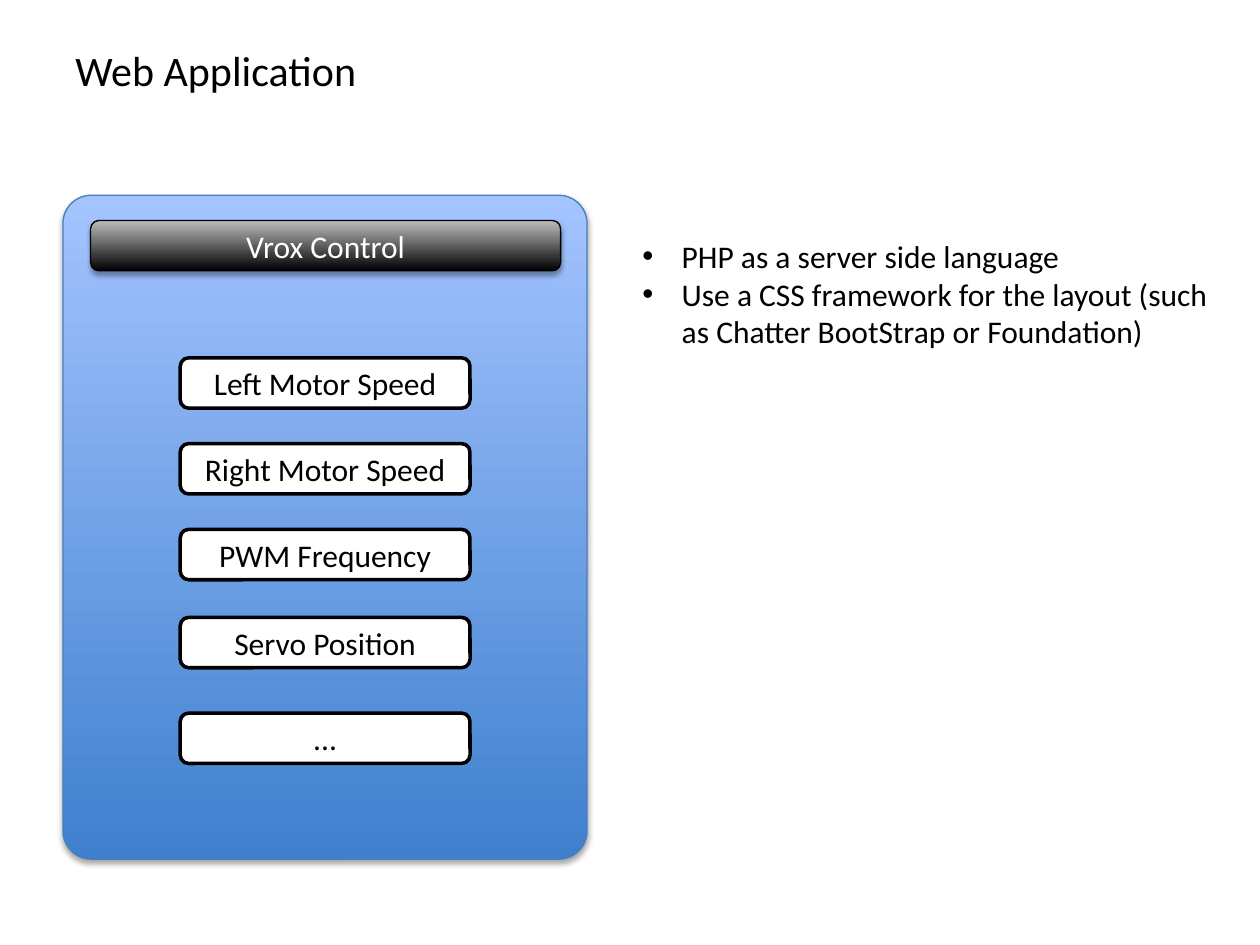
from lxml import etree
from pptx import Presentation
from pptx.dml.color import RGBColor
from pptx.enum.shapes import MSO_SHAPE
from pptx.enum.text import MSO_ANCHOR, PP_ALIGN
from pptx.oxml import parse_xml
from pptx.oxml.ns import nsdecls, qn
from pptx.util import Pt

ROUND = MSO_SHAPE.ROUNDED_RECTANGLE
MIDDLE, CENTER = MSO_ANCHOR.MIDDLE, PP_ALIGN.CENTER
FONT = "Calibri"
COLORS = {
    "black": "000000",
    "white": "FFFFFF",
    "gray": "BDBDBD",
    "panel_bottom": "3F80CE",
    "panel_top": "A4C4FF",
    "panel_line": "4B7EBC",
}
SHADOW = (
    f'<a:outerShdw {nsdecls("a")} blurRad="{Pt(3.1)}" dist="{Pt(1.8)}" '
    'dir="5400000" rotWithShape="0"><a:srgbClr val="000000">'
    '<a:alpha val="35000"/></a:srgbClr></a:outerShdw>'
)


def add_box(left, top, width, height, fills, line, line_width):
    """Add a rounded box: one fill is solid, two (bottom, top) a shaded gradient."""
    sp = s.shapes.add_shape(ROUND, Pt(left), Pt(top), Pt(width), Pt(height))
    sp.shadow.inherit = False
    if len(fills) == 1:
        sp.fill.solid()
        sp.fill.fore_color.rgb = RGBColor.from_string(COLORS[fills[0]])
    else:
        sp.fill.gradient()
        sp.fill.gradient_angle = 90
        for stop, name in zip(sp.fill.gradient_stops, fills):
            stop.color.rgb = RGBColor.from_string(COLORS[name])
        sp._element.spPr.find(qn("a:effectLst")).append(parse_xml(SHADOW))
    sp.line.color.rgb = RGBColor.from_string(COLORS[line])
    sp.line.width = Pt(line_width)
    return sp


def set_text(sp, text, size, color="black"):
    tf = sp.text_frame
    tf.word_wrap = True
    tf.text = text
    for p in tf.paragraphs:
        for r in p.runs:
            r.font.name = FONT
            r.font.size = Pt(size)
            r.font.color.rgb = RGBColor.from_string(COLORS[color])
    return tf


prs = Presentation()
prs.slide_width, prs.slide_height = Pt(720), Pt(540)
s = prs.slides.add_slide(prs.slide_layouts[6])

title = s.shapes.add_textbox(Pt(36), Pt(21.6), Pt(648), Pt(90))
set_text(title, "Web Application", 24)

panel = add_box(36, 111.6, 299.5, 379.4, ["panel_bottom", "panel_top"], "panel_line", 0.75)
panel.adjustments[0] = 0.054

header = add_box(51.8, 126, 268.6, 28.8, ["black", "gray"], "black", 0.75)
labels = [(header, "Vrox Control", "white")]

fields = [
    ("Left Motor Speed", 204.5),
    ("Right Motor Speed", 253.5),
    ("PWM Frequency", 302.5),
    ("Servo Position", 352.8),
    ("...", 407.5),
]
for text, top in fields:
    field = add_box(103, top, 165.6, 28.8, ["white"], "black", 2)
    labels.append((field, text, "black"))

for sp, text, color in labels:
    tf = set_text(sp, text, 18, color)
    tf.vertical_anchor = MIDDLE
    tf.paragraphs[0].alignment = CENTER

notes = s.shapes.add_textbox(Pt(360), Pt(131.8), Pt(343.4), Pt(72.7))
tf = set_text(
    notes,
    "PHP as a server side language\n"
    "Use a CSS framework for the layout (such as Chatter BootStrap or Foundation)",
    18,
)
for p in tf.paragraphs:
    pPr = p._p.get_or_add_pPr()
    pPr.set("marL", str(Pt(22.5)))
    pPr.set("indent", str(-Pt(22.5)))
    etree.SubElement(pPr, qn("a:buFont")).set("typeface", "Arial")
    etree.SubElement(pPr, qn("a:buChar")).set("char", "•")

prs.save("out.pptx")
